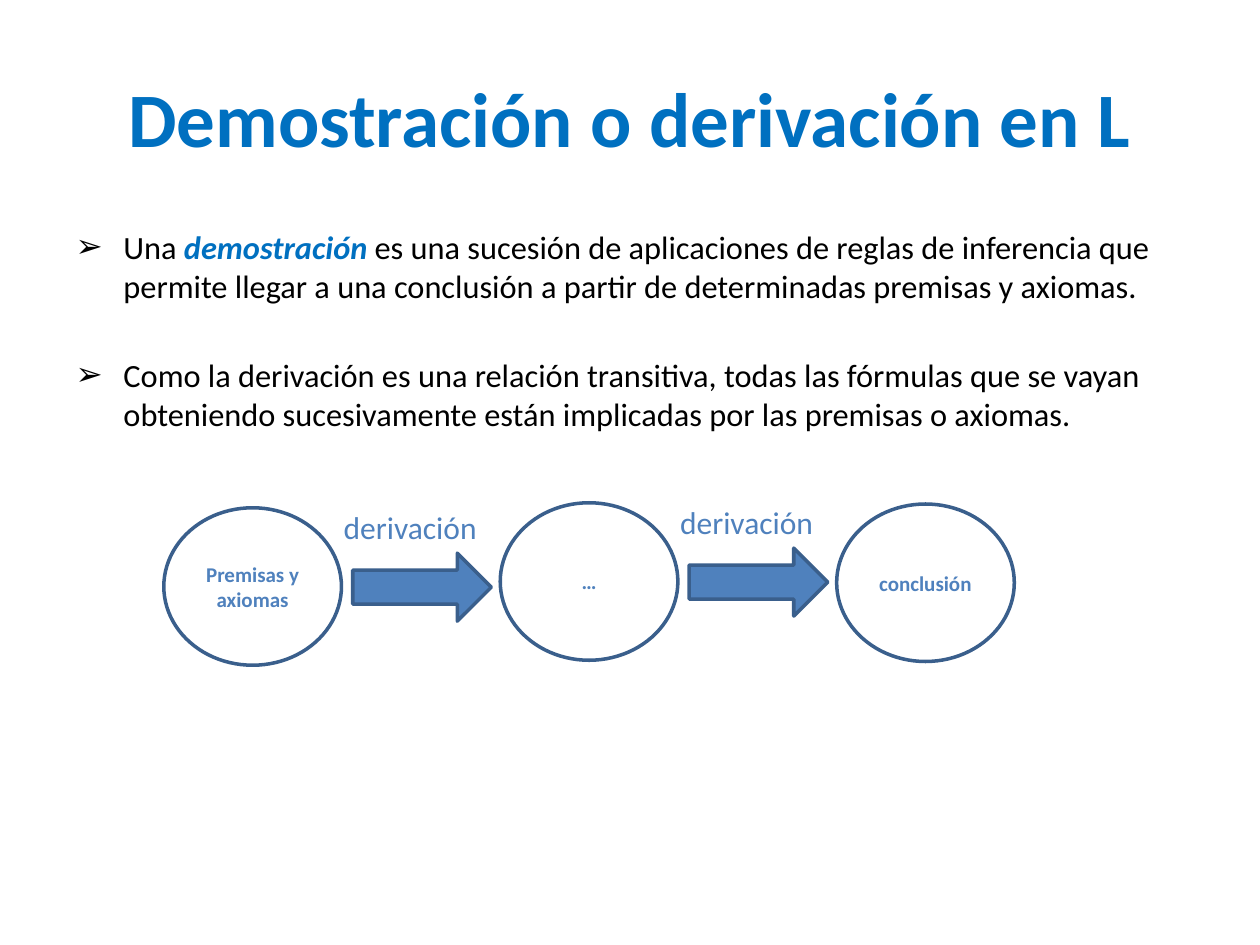
import dataclasses

import pptx
import pptx.dml.color
import pptx.enum.shapes
import pptx.enum.text
import pptx.oxml.ns
import pptx.util
from lxml import etree

Inches = pptx.util.Inches
Pt = pptx.util.Pt
MSO_SHAPE = pptx.enum.shapes.MSO_SHAPE
PP_ALIGN = pptx.enum.text.PP_ALIGN
MSO_ANCHOR = pptx.enum.text.MSO_ANCHOR
MSO_AUTO_SIZE = pptx.enum.text.MSO_AUTO_SIZE

COLORS = {"title": "0070C0", "text": "000000", "accent": "4F81BD",
          "outline": "3A5F8C", "white": "FFFFFF"}
TITLE = {"size": Pt(44), "bold": True}
BODY = {"size": Pt(18.5), "bold": False, "italic": False}
TERM = {"size": Pt(18.5), "bold": True, "italic": True}
NODE = {"size": Pt(12), "bold": True}
LABEL = {"size": Pt(18)}


@dataclasses.dataclass
class Step:
    text: str
    top: float
    arrow: bool = True


STEPS = [Step("Premisas y axiomas", 4.03), Step("…", 3.99),
         Step("conclusión", 4.0, arrow=False)]
FIRST_LEFT, PITCH = 1.3, 2.67

BULLETS = [
    [("Una ", BODY, "text"), ("demostración ", TERM, "title"),
     ("es una sucesión de aplicaciones de reglas de inferencia que permite "
      "llegar a una conclusión a partir de determinadas premisas y axiomas.",
      BODY, "text")],
    [("Como la derivación es una relación transitiva, todas las fórmulas que "
      "se vayan obteniendo sucesivamente están implicadas por las premisas o "
      "axiomas.", BODY, "text")],
]


def rgb(name: str) -> pptx.dml.color.RGBColor:
    return pptx.dml.color.RGBColor.from_string(COLORS[name])


def add_run(p, text: str, fmt: dict, color: str) -> None:
    r = p.add_run()
    r.text = text
    r.font.name = "Calibri"
    r.font.color.rgb = rgb(color)
    for key, value in fmt.items():
        setattr(r.font, key, value)


def place(sp, left: float, top: float, width: float, height: float) -> None:
    box = {"left": left, "top": top, "width": width, "height": height}
    for key, value in box.items():
        setattr(sp, key, Inches(value))


def set_bullet(p, char: str) -> None:
    ppr = p._p.get_or_add_pPr()
    ppr.set("marL", str(Inches(0.38)))
    ppr.set("indent", str(Inches(-0.38)))
    etree.SubElement(ppr, pptx.oxml.ns.qn("a:buChar")).set("char", char)


def add_box(shapes, kind, left: float, top: float, width: float,
            height: float, fill: str):
    sp = shapes.add_shape(kind, Inches(left), Inches(top),
                          Inches(width), Inches(height))
    sp.shadow.inherit = False
    sp.fill.solid()
    sp.fill.fore_color.rgb = rgb(fill)
    sp.line.color.rgb = rgb("outline")
    sp.line.width = Pt(2)
    return sp


def add_step(shapes, step: Step, left: float) -> None:
    sp = add_box(shapes, MSO_SHAPE.OVAL, left, step.top, 1.41, 1.25, "white")
    tf = sp.text_frame
    tf.word_wrap = True
    tf.vertical_anchor = MSO_ANCHOR.MIDDLE
    p = tf.paragraphs[0]
    p.alignment = PP_ALIGN.CENTER
    add_run(p, step.text, NODE, "accent")
    if not step.arrow:
        return
    add_box(shapes, MSO_SHAPE.RIGHT_ARROW, left + 1.5, step.top + 0.36,
            1.1, 0.54, "accent")
    tb = shapes.add_textbox(Inches(left + 1.33), Inches(step.top - 0.05),
                            Inches(1.27), Inches(0.4))
    tb.text_frame.word_wrap = False
    tb.text_frame.auto_size = MSO_AUTO_SIZE.SHAPE_TO_FIT_TEXT
    add_run(tb.text_frame.paragraphs[0], "derivación", LABEL, "accent")


prs = pptx.Presentation()
prs.slide_width, prs.slide_height = Inches(10), Inches(7.5)
slide = prs.slides.add_slide(prs.slide_layouts[1])

# Title
title = slide.shapes.title
place(title, 0.5, 0.3, 9, 1.25)
title.text_frame.vertical_anchor = MSO_ANCHOR.MIDDLE
p = title.text_frame.paragraphs[0]
p.alignment = PP_ALIGN.CENTER
add_run(p, "Demostración o derivación en L", TITLE, "title")

# Bulleted explanation
body = slide.placeholders[1]
place(body, 0.5, 1.75, 9, 1.76)
tf = body.text_frame
tf.auto_size = MSO_AUTO_SIZE.NONE
for i, runs in enumerate(BULLETS):
    p = tf.add_paragraph() if i else tf.paragraphs[0]
    p.space_before = Pt(29 if i else 3.7)
    set_bullet(p, "➢")
    for text, fmt, color in runs:
        add_run(p, text, fmt, color)

# Derivation chain, grouped
chain = slide.shapes.add_group_shape()
for i, step in enumerate(STEPS):
    add_step(chain.shapes, step, FIRST_LEFT + i * PITCH)

prs.save("out.pptx")
